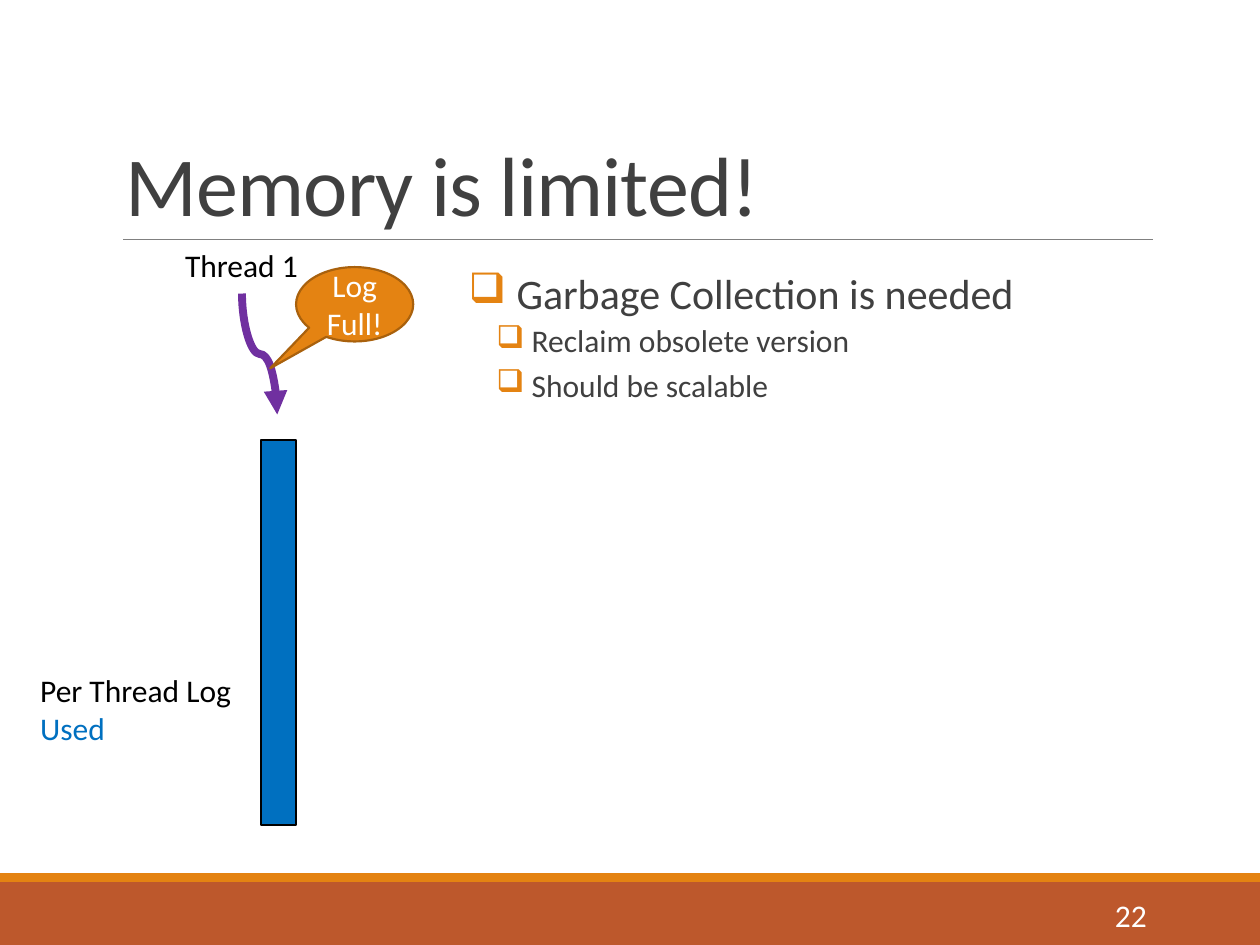
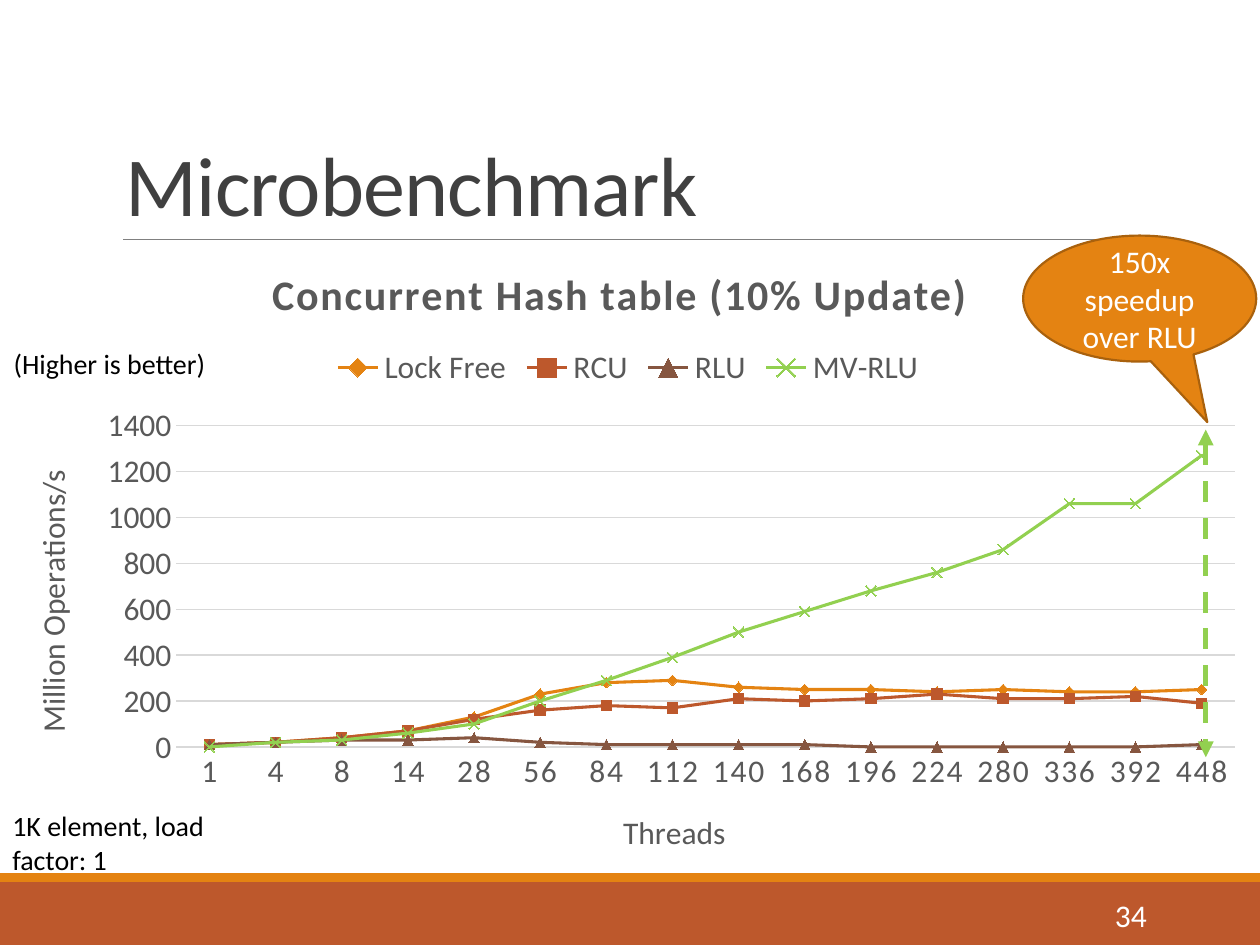
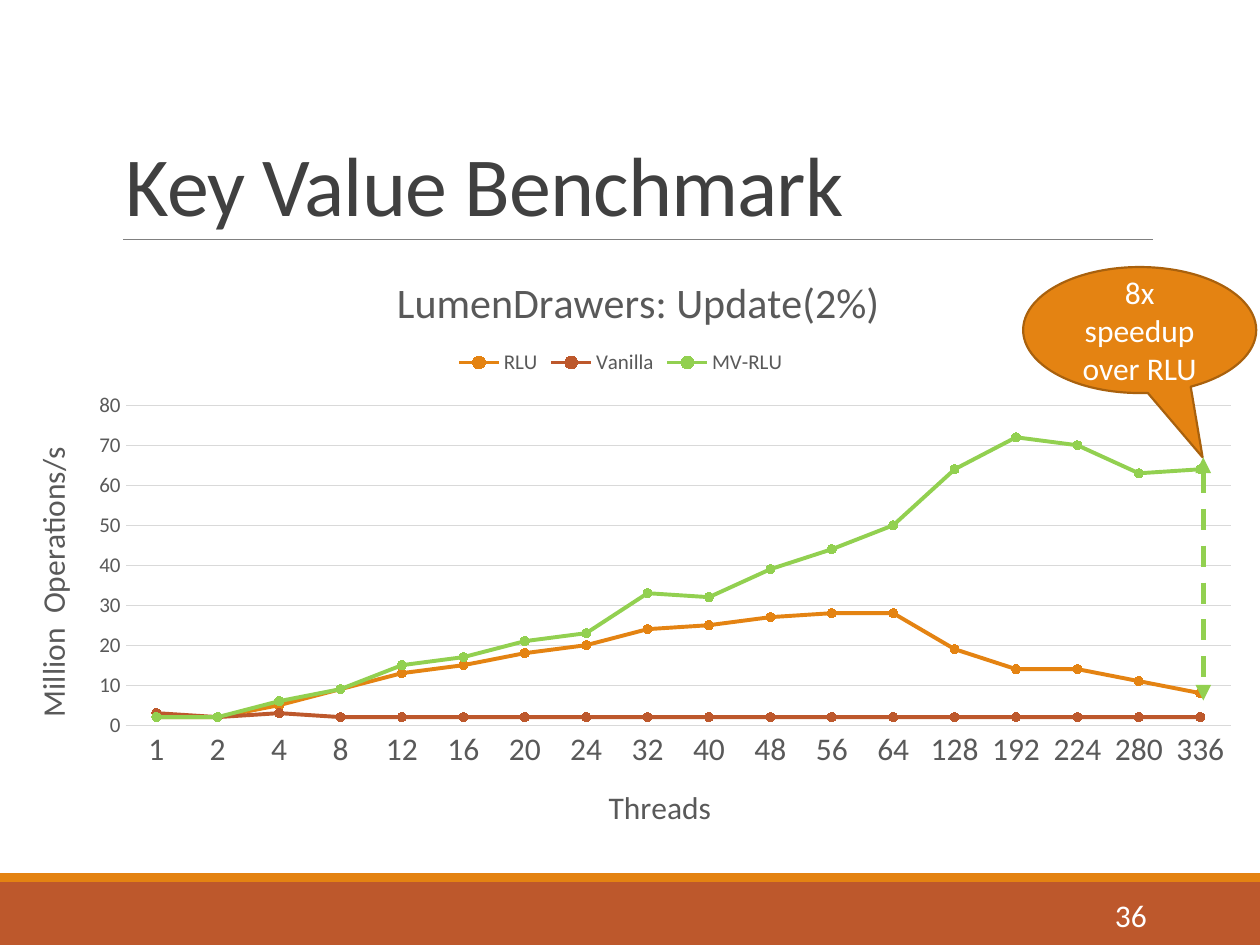
from dataclasses import dataclass
from typing import NamedTuple, Optional

from pptx import Presentation
from pptx.chart.data import CategoryChartData
from pptx.dml.color import RGBColor
from pptx.enum.chart import XL_CHART_TYPE, XL_LEGEND_POSITION, XL_MARKER_STYLE, XL_TICK_MARK
from pptx.enum.dml import MSO_LINE
from pptx.enum.shapes import MSO_CONNECTOR, MSO_SHAPE
from pptx.enum.text import MSO_ANCHOR, PP_ALIGN
from pptx.oxml.ns import qn
from pptx.oxml.xmlchemy import OxmlElement
from pptx.util import Emu, Inches, Pt

FONT = "Calibri"
COLORS = {
    "orange": "E48312", "rust": "BD582C", "brown": "865640", "green": "92D050",
    "outline": "A9610D", "blue": "0070C0", "purple": "7030A0",
    "title": "404040", "chart": "595959", "rule": "808080", "grid": "D9D9D9",
    "black": "000000", "white": "FFFFFF",
}

# The slide is a grid of 100 columns by 75 rows
COLUMNS, ROWS = 100, 75
WIDTH, HEIGHT = Inches(10), Inches(7.5)


class Box(NamedTuple):
    left: float
    top: float
    width: float
    height: float


class Spot(NamedTuple):
    """Place inside a chart, as shares of its size."""
    x: float
    y: float
    w: Optional[float] = None
    h: Optional[float] = None


class Bullet(NamedTuple):
    text: str
    size: int
    margin: float
    hanging: float
    before: int
    after: int


class Line(NamedTuple):
    name: str
    color: str
    marker: XL_MARKER_STYLE
    values: tuple


@dataclass
class LineChart:
    box: Box
    title: str
    value_title: str
    categories: tuple
    lines: tuple
    line_width: float
    marker_size: int
    small_size: int
    top_value: int
    step: int
    plot_at: Spot
    title_at: Spot
    legend_at: Spot
    threads_at: Spot
    value_title_at: Spot
    bold_title: bool = False
    spacing: int = 0


def col(n: float) -> Emu:
    return Emu(round(WIDTH * n / COLUMNS))


def row(n: float) -> Emu:
    return Emu(round(HEIGHT * n / ROWS))


def place(box: Box) -> tuple:
    return col(box.left), row(box.top), col(box.width), row(box.height)


def rgb(name: str) -> RGBColor:
    return RGBColor.from_string(COLORS[name])


def style_font(font, size: float, color: str, bold: bool = False, spacing: int = 0) -> None:
    font.name, font.size, font.bold = FONT, Pt(size), bold
    font.color.rgb = rgb(color)
    if spacing:
        font._element.set("spc", str(spacing))


def style_line(line, color: str, width: float) -> None:
    line.color.rgb = rgb(color)
    line.width = Pt(width)


def child(parent, tag: str, **attributes):
    el = OxmlElement(tag)
    for key, value in attributes.items():
        el.set(key, str(value))
    parent.append(el)
    return el


# Shapes and text
def add_text(s, box: Box, lines: dict, size: float, align=PP_ALIGN.LEFT,
             anchor=MSO_ANCHOR.TOP, spacing: int = 0):
    """Write a text box; lines maps each paragraph to its colour."""
    tf = s.shapes.add_textbox(*place(box)).text_frame
    tf.word_wrap, tf.vertical_anchor = True, anchor
    tf.text = "\n".join(lines)
    for p, color in zip(tf.paragraphs, lines.values()):
        p.alignment = align
        style_font(p.runs[0].font, size, color, spacing=spacing)
    return tf


def add_block(s, box: Box, fill: str, outline: Optional[str] = None, kind=MSO_SHAPE.RECTANGLE):
    sp = s.shapes.add_shape(kind, *place(box))
    sp.shadow.inherit = False
    sp.fill.solid()
    sp.fill.fore_color.rgb = rgb(fill)
    if outline:
        style_line(sp.line, outline, 1.25)
    else:
        sp.line.fill.background()
    return sp


def add_callout(s, box: Box, text: str, tip: tuple) -> None:
    sp = add_block(s, box, "orange", "outline", MSO_SHAPE.OVAL_CALLOUT)
    sp.adjustments[0], sp.adjustments[1] = tip
    tf = sp.text_frame
    tf.word_wrap, tf.vertical_anchor = True, MSO_ANCHOR.MIDDLE
    tf.text = text
    p = tf.paragraphs[0]
    p.alignment = PP_ALIGN.CENTER
    style_font(p.runs[0].font, 18, "white")


def add_line(s, start: tuple, end: tuple, color: str, width: float,
             kind=MSO_CONNECTOR.STRAIGHT, dashed: bool = False, heads: tuple = ()):
    c = s.shapes.add_connector(kind, col(start[0]), row(start[1]), col(end[0]), row(end[1]))
    style_line(c.line, color, width)
    if dashed:
        c.line.dash_style = MSO_LINE.DASH
    spPr = c._element.spPr
    for head in heads:
        child(spPr.find(qn("a:ln")), head, type="triangle")
    child(spPr, "a:effectLst")
    return c


def add_speedup_arrow(s, x: float, top: float, bottom: float) -> None:
    add_line(s, (x, top), (x, bottom), "green", 3, dashed=True,
             heads=("a:headEnd", "a:tailEnd"))


def add_bullets(s, box: Box, bullets: tuple) -> None:
    tf = s.shapes.add_textbox(*place(box)).text_frame
    tf.word_wrap = True
    tf.margin_left = tf.margin_right = 0
    tf.text = "\n".join(b.text for b in bullets)
    for p, b in zip(tf.paragraphs, bullets):
        p.line_spacing = 0.9
        p.space_before, p.space_after = Pt(b.before), Pt(b.after)
        style_font(p.runs[0].font, b.size, "title")
        pPr = p._p.get_or_add_pPr()
        pPr.set("marL", str(col(b.margin)))
        pPr.set("indent", str(-col(b.hanging)))
        child(child(pPr, "a:buClr"), "a:srgbClr", val=COLORS["orange"])
        child(pPr, "a:buChar", char="❑")


# Charts
def set_layout(el, spot: Spot) -> None:
    layout = el.find(qn("c:layout"))
    if layout is None:
        layout = OxmlElement("c:layout")
        leading = (qn("c:tx"), qn("c:legendPos"))
        el.insert(sum(1 for node in el if node.tag in leading), layout)
    manual = child(layout, "c:manualLayout")
    if spot.w is not None:
        child(manual, "c:layoutTarget", val="inner")
    child(manual, "c:xMode", val="edge")
    child(manual, "c:yMode", val="edge")
    for key, value in spot._asdict().items():
        if value is not None:
            child(manual, f"c:{key}", val=value)


def write_chart_title(title, text: str, size: float, spot: Spot, bold: bool = False,
                      spacing: int = 0):
    tf = title.text_frame
    tf.text = text
    style_font(tf.paragraphs[0].runs[0].font, size, "chart", bold, spacing)
    set_layout(title._element, spot)
    return tf


def add_line_chart(s, lc: LineChart) -> None:
    data = CategoryChartData()
    data.categories = lc.categories
    for line in lc.lines:
        data.add_series(line.name, line.values)
    chart = s.shapes.add_chart(XL_CHART_TYPE.LINE_MARKERS, *place(lc.box), data).chart
    style_font(chart.font, 10, "black")
    chart.plots[0].vary_by_categories = False

    # Titles, legend and plot area
    chart.has_title = True
    write_chart_title(chart.chart_title, lc.title, 24, lc.title_at, lc.bold_title, lc.spacing)
    chart.has_legend = True
    legend = chart.legend
    legend.position = XL_LEGEND_POSITION.TOP
    legend.include_in_layout = False
    style_font(legend.font, lc.small_size, "chart")
    set_layout(legend._element, lc.legend_at)
    set_layout(chart._chartSpace.find(".//" + qn("c:plotArea")), lc.plot_at)

    # Axes
    cat, val = chart.category_axis, chart.value_axis
    for axis in (cat, val):
        axis.major_tick_mark = axis.minor_tick_mark = XL_TICK_MARK.NONE
    style_font(cat.tick_labels.font, 18, "chart", spacing=lc.spacing)
    style_font(val.tick_labels.font, lc.small_size, "chart")
    style_line(cat.format.line, "grid", 0.75)
    val.format.line.fill.background()
    val.has_major_gridlines = True
    style_line(val.major_gridlines.format.line, "grid", 0.75)
    val.minimum_scale, val.maximum_scale, val.major_unit = 0, lc.top_value, lc.step
    write_chart_title(cat.axis_title, "Threads", 18, lc.threads_at)
    tf = write_chart_title(val.axis_title, lc.value_title, 18, lc.value_title_at)
    bodyPr = tf._txBody.bodyPr
    bodyPr.set("rot", "-5400000")
    bodyPr.set("vert", "horz")

    # Lines and markers
    for series, line in zip(chart.plots[0].series, lc.lines):
        series.smooth = False
        style_line(series.format.line, line.color, lc.line_width)
        marker = series.marker
        marker.style, marker.size = line.marker, lc.marker_size
        style_line(marker.format.line, line.color, 0.75)
        if line.marker == XL_MARKER_STYLE.X:
            marker.format.fill.background()
        else:
            marker.format.fill.solid()
            marker.format.fill.fore_color.rgb = rgb(line.color)


# Parts every slide shares
def add_slide(prs, title: str, number: int):
    s = prs.slides.add_slide(prs.slide_layouts[6])
    add_block(s, Box(0, 70, COLUMNS, 5), "rust")
    add_block(s, Box(0, 69.3, COLUMNS, 0.7), "orange")
    add_line(s, (9.8, 19), (91.5, 19), "rule", 0.5)
    tf = add_text(s, Box(9, 3.1, 82.5, 15.9), {title: "title"}, 48,
                  anchor=MSO_ANCHOR.BOTTOM, spacing=-50)
    tf.paragraphs[0].line_spacing = 0.85
    add_text(s, Box(81.2, 70.6, 10.8, 4), {str(number): "white"}, 18,
             PP_ALIGN.RIGHT, MSO_ANCHOR.MIDDLE)
    return s


BULLETS = (
    Bullet("Garbage Collection is needed", 24, 3.8, 3.8, 12, 2),
    Bullet("Reclaim obsolete version", 18, 5, 2.8, 2, 4),
    Bullet("Should be scalable", 18, 5, 2.8, 2, 4),
)

HASH_TABLE = LineChart(
    box=Box(0, 19, 100, 51),
    title="Concurrent Hash table (10% Update)",
    value_title="Million Operations/s",
    categories=("1", "4", "8", "14", "28", "56", "84", "112", "140", "168", "196",
                "224", "280", "336", "392", "448"),
    lines=(
        Line("Lock Free", "orange", XL_MARKER_STYLE.DIAMOND,
             (10, 20, 40, 70, 130, 230, 280, 290, 260, 250, 250, 240, 250, 240, 240, 250)),
        Line("RCU", "rust", XL_MARKER_STYLE.SQUARE,
             (10, 20, 40, 70, 120, 160, 180, 170, 210, 200, 210, 230, 210, 210, 220, 190)),
        Line("RLU", "brown", XL_MARKER_STYLE.TRIANGLE,
             (10, 20, 30, 30, 40, 20, 10, 10, 10, 10, 0, 0, 0, 0, 0, 10)),
        Line("MV-RLU", "green", XL_MARKER_STYLE.X,
             (0, 20, 30, 60, 100, 200, 290, 390, 500, 590, 680, 760, 860, 1060, 1060, 1270)),
    ),
    line_width=1.75, marker_size=6, small_size=18, top_value=1400, step=200,
    plot_at=Spot(0.14, 0.29, 0.84, 0.5), title_at=Spot(0.21, 0.03),
    legend_at=Spot(0.26, 0.16), threads_at=Spot(0.49, 0.88),
    value_title_at=Spot(0.02, 0.35), bold_title=True, spacing=100,
)

KEY_VALUE = LineChart(
    box=Box(0, 20.2, 99.7, 47.9),
    title="LumenDrawers: Update(2%)",
    value_title="Million  Operations/s",
    categories=("1", "2", "4", "8", "12", "16", "20", "24", "32", "40", "48", "56",
                "64", "128", "192", "224", "280", "336"),
    lines=(
        Line("RLU", "orange", XL_MARKER_STYLE.CIRCLE,
             (2, 2, 5, 9, 13, 15, 18, 20, 24, 25, 27, 28, 28, 19, 14, 14, 11, 8)),
        Line("Vanilla", "rust", XL_MARKER_STYLE.CIRCLE,
             (3, 2, 3, 2, 2, 2, 2, 2, 2, 2, 2, 2, 2, 2, 2, 2, 2, 2)),
        Line("MV-RLU", "green", XL_MARKER_STYLE.CIRCLE,
             (2, 2, 6, 9, 15, 17, 21, 23, 33, 32, 39, 44, 50, 64, 72, 70, 63, 64)),
    ),
    line_width=2.25, marker_size=5, small_size=12, top_value=80, step=10,
    plot_at=Spot(0.1, 0.25, 0.88, 0.53), title_at=Spot(0.31, 0.02),
    legend_at=Spot(0.36, 0.15), threads_at=Spot(0.48, 0.87),
    value_title_at=Spot(0.02, 0.31),
)


def memory_slide(prs) -> None:
    s = add_slide(prs, "Memory is limited!", 22)
    # Thread arrow: a curve turned to run downwards into the log
    thread = add_line(s, (25.4, 26.7), (15.8, 29.5), "purple", 4.5,
                      MSO_CONNECTOR.CURVE, heads=("a:tailEnd",))
    thread._element.spPr.find(qn("a:xfrm")).set("rot", str(270 * 60000))
    add_block(s, Box(20.7, 34.9, 2.8, 30.6), "blue", "black")
    add_callout(s, Box(23.5, 21.2, 9.3, 5.9), "Log Full!", (-0.72, 0.86))
    add_bullets(s, Box(37.2, 21.2, 54.3, 42.9), BULLETS)
    add_text(s, Box(2.2, 52.8, 20.5, 7.1), {"Per Thread Log": "black", "Used": "blue"}, 18)
    add_text(s, Box(13.7, 19, 11.5, 4), {"Thread 1": "black"}, 18)


def microbenchmark_slide(prs) -> None:
    s = add_slide(prs, "Microbenchmark", 34)
    add_line_chart(s, HASH_TABLE)
    add_speedup_arrow(s, 95.7, 34.1, 60.1)
    add_callout(s, Box(81.2, 18.7, 18.5, 10), "150x speedup over RLU", (0.29, 0.98))
    add_text(s, Box(0.1, 27, 17.7, 5.3), {"(Higher is better)": "black"}, 16)
    add_text(s, Box(0, 63.7, 17.7, 5.3), {"1K element, load factor: 1": "black"}, 16)


def key_value_slide(prs) -> None:
    s = add_slide(prs, "Key Value Benchmark", 36)
    add_line_chart(s, KEY_VALUE)
    add_callout(s, Box(81.2, 21.2, 18.5, 10), "8x speedup over RLU", (0.27, 1.01))
    add_speedup_arrow(s, 95.5, 36.3, 55.6)


def main() -> None:
    prs = Presentation()
    prs.slide_width, prs.slide_height = WIDTH, HEIGHT
    memory_slide(prs)
    microbenchmark_slide(prs)
    key_value_slide(prs)
    prs.save("out.pptx")


if __name__ == "__main__":
    main()
